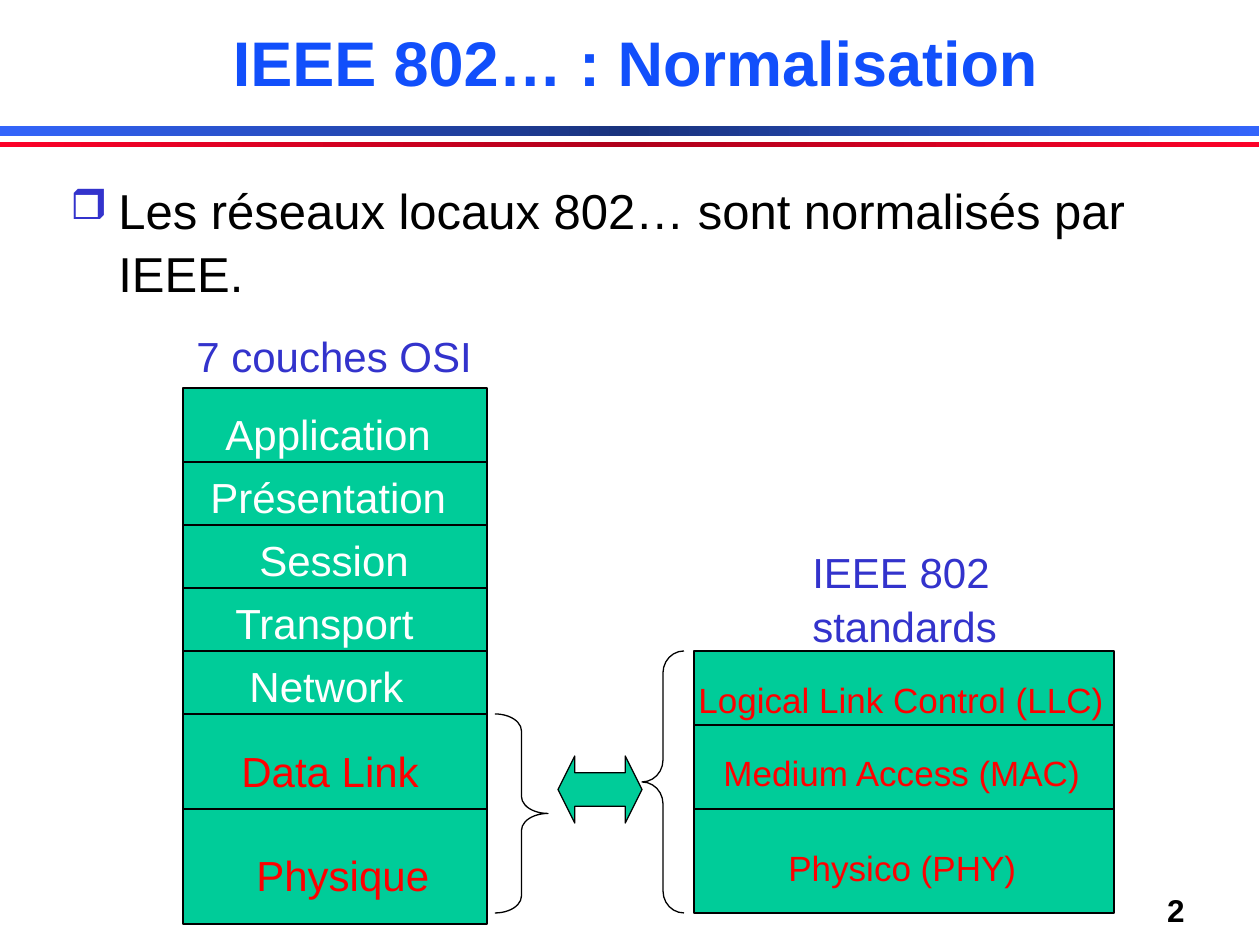
from copy import deepcopy

from pptx import Presentation
from pptx.dml.color import RGBColor
from pptx.enum.shapes import MSO_CONNECTOR as Connector, MSO_SHAPE as Shape
from pptx.enum.text import MSO_ANCHOR as Anchor, PP_ALIGN as Align
from pptx.oxml.ns import qn
from pptx.util import Pt
from lxml.etree import SubElement

EMU_PER_PIXEL = 914400 / 126
GREEN, RED, INDIGO = "00CC99", "FF0000", "3333CC"
BLACK, WHITE = "000000", "FFFFFF"


def px(value):
    return round(value * EMU_PER_PIXEL)


def color(value):
    return RGBColor.from_string(value)


def add_text(page, place, text, size, ink, bold=False, align=Align.LEFT,
             spacing=1.07, wrap=False, anchor=Anchor.TOP):
    box = page.shapes.add_textbox(*map(px, place))
    frame = box.text_frame
    frame.text = text
    frame.word_wrap = wrap
    frame.vertical_anchor = anchor
    for para in frame.paragraphs:
        para.alignment = align
        para.line_spacing = spacing
        for span in para.runs:
            span.font.name = "Arial"
            span.font.size = Pt(size)
            span.font.bold = bold
            span.font.color.rgb = color(ink)
    return box


def add_bullet(para, mark, ink, percent, indent):
    props = para._p.get_or_add_pPr()
    props.set("marL", str(px(indent)))
    props.set("indent", str(-px(indent)))
    tint = SubElement(props, qn("a:buClr"))
    SubElement(tint, qn("a:srgbClr"), val=ink)
    SubElement(props, qn("a:buSzPct"), val=str(percent * 1000))
    SubElement(props, qn("a:buChar"), char=mark)


def add_figure(page, kind, place, fill=None, adjustments=()):
    figure = page.shapes.add_shape(kind, *map(px, place))
    figure.shadow.inherit = False
    if fill:
        figure.fill.solid()
        figure.fill.fore_color.rgb = color(fill)
    else:
        figure.fill.background()
    figure.line.color.rgb = color(BLACK)
    figure.line.width = Pt(0.75)
    for index, value in enumerate(adjustments):
        figure.adjustments[index] = value
    return figure


def add_band(page, place, edge, middle):
    band = add_figure(page, Shape.RECTANGLE, place)
    band.line.fill.background()
    band.fill.gradient()
    band.fill.gradient_angle = 0
    stops = band._element.spPr.find(qn("a:gradFill")).find(qn("a:gsLst"))
    stops.insert(1, deepcopy(stops[0]))
    for stop, ink, position in zip(band.fill.gradient_stops,
                                   (edge, middle, edge), (0, 0.5, 1)):
        stop.color.rgb = color(ink)
        stop.position = position


def add_divider(page, left, right, y):
    line = page.shapes.add_connector(
        Connector.STRAIGHT, px(left), px(y), px(right), px(y))
    line.line.color.rgb = color(BLACK)
    line.line.width = Pt(0.75)
    SubElement(line._element.spPr, qn("a:effectLst"))


def add_stack(page, place, dividers, labels, size, label_height):
    left, _, width, _ = place
    add_figure(page, Shape.RECTANGLE, place, GREEN)
    for y in dividers:
        add_divider(page, left, left + width, y)
    for text, x, y, label_width, ink in labels:
        add_text(page, (x, y, label_width, label_height), text, size, ink)


def main():
    deck = Presentation()
    deck.slide_width, deck.slide_height = px(1260), px(945)
    page = deck.slides.add_slide(deck.slide_layouts[6])

    # Header and page number
    add_band(page, (0, 126, 1259, 10), "3365FB", "19327C")
    add_band(page, (0, 142, 1259, 5), "FC0128", "AF001B")
    add_text(page, (42, 11, 1187, 95), "IEEE 802… : Normalisation", 36,
             "114FFB", True, Align.CENTER, 0.9, True, Anchor.BOTTOM)
    add_text(page, (1019, 885, 178, 50), "2", 18, BLACK, True,
             Align.RIGHT, 1.0)

    # Statement
    body = add_text(page, (58, 170, 1134, 140),
                    "Les réseaux locaux 802… sont normalisés par IEEE.",
                    28, BLACK, wrap=True)
    para = body.text_frame.paragraphs[0]
    para.space_before = Pt(5.6)
    add_bullet(para, "❒", INDIGO, 85, 48)

    # OSI layers
    add_text(page, (184, 321, 304, 67), "7 couches OSI", 24, INDIGO)
    osi_labels = [
        ("Application", 213, 399, 235, WHITE),
        ("Présentation", 198, 462, 263, WHITE),
        ("Session", 247, 525, 176, WHITE),
        ("Transport", 223, 588, 205, WHITE),
        ("Network", 237, 651, 181, WHITE),
        ("Data Link", 229, 736, 204, RED),
        ("Physique", 244, 840, 200, RED),
    ]
    osi_dividers = [*range(462, 715, 63), 809]
    add_stack(page, (183, 388, 304, 536), osi_dividers, osi_labels, 24, 67)

    # IEEE 802 layers
    add_text(page, (800, 537, 212, 121), "IEEE 802\nstandards", 24, INDIGO)
    ieee_labels = [
        ("Logical Link Control (LLC)", 686, 669, 433, RED),
        ("Medium Access (MAC)", 711, 742, 384, RED),
        ("Physico (PHY)", 776, 837, 263, RED),
    ]
    add_stack(page, (694, 651, 420, 262), (725, 809), ieee_labels, 20, 58)

    # Correspondence between the two stacks
    add_figure(page, Shape.RIGHT_BRACE, (495, 714, 53, 199),
               adjustments=(0.32, 0.5))
    add_figure(page, Shape.LEFT_BRACE, (642, 651, 42, 262),
               adjustments=(0.52, 0.5))
    add_figure(page, Shape.LEFT_RIGHT_ARROW, (558, 756, 84, 67), GREEN,
               (0.5, 0.25))

    deck.save("out.pptx")


main()
